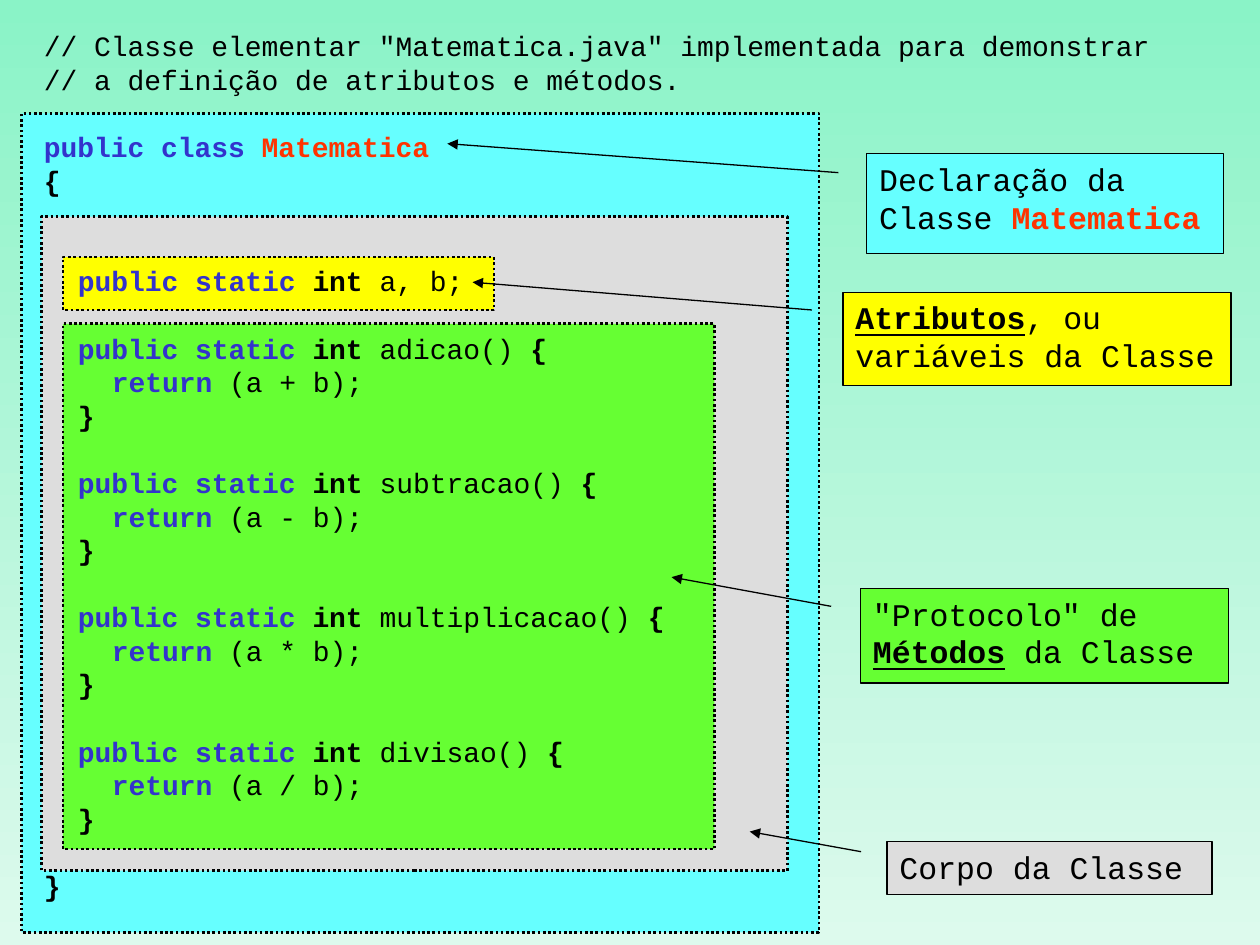
"""Build a slide that labels the parts of a small Java class."""
from dataclasses import dataclass

from lxml import etree
from pptx import Presentation
from pptx.dml.color import RGBColor
from pptx.enum.dml import MSO_LINE
from pptx.enum.shapes import MSO_SHAPE
from pptx.enum.text import MSO_ANCHOR, MSO_AUTO_SIZE, PP_ALIGN
from pptx.oxml.ns import qn
from pptx.util import Inches, Pt

RECT = MSO_SHAPE.RECTANGLE
CALLOUT = MSO_SHAPE.LINE_CALLOUT_1
DOTS = MSO_LINE.ROUND_DOT
TOP = MSO_ANCHOR.TOP
LEFT = PP_ALIGN.LEFT
GROW = MSO_AUTO_SIZE.SHAPE_TO_FIT_TEXT

FONT = "Courier New"
BLACK, BLUE, RED = "000000", "3333CC", "FF3300"
CYAN, GRAY, GREEN, YELLOW = "66FFFF", "DDDDDD", "66FF33", "FFFF00"
ROW = 19.2
STEP = 0.27


@dataclass
class Word:
    text: str
    color: str = BLACK
    bold: bool = False
    under: bool = False


@dataclass
class Line:
    words: list[Word]
    level: int = 0
    gap: int = 0


@dataclass
class Box:
    left: float
    top: float
    width: float
    height: float
    fill: str


@dataclass
class Label:
    box: Box
    tip: tuple[float, float]
    words: list[Word]


BOXES = [
    Box(0.17, 0.9, 6.33, 6.5, CYAN),
    Box(0.33, 1.72, 5.92, 5.19, GRAY),
    Box(0.5, 2.57, 5.17, 4.17, GREEN),
    Box(0.5, 2.04, 3.42, 0.42, YELLOW),
]
LABELS = [
    Label(Box(6.88, 1.22, 2.83, 0.79, CYAN), (3.55, 1.14),
          [Word("Declaração da Classe "), Word("Matematica", RED, True)]),
    Label(Box(7.04, 6.68, 2.58, 0.42, GRAY), (5.95, 6.6),
          [Word("Corpo da Classe")]),
    Label(Box(6.83, 4.67, 2.92, 0.75, GREEN), (5.33, 4.58),
          [Word('"Protocolo" de '), Word("Métodos", bold=True, under=True),
           Word(" da Classe")]),
    Label(Box(6.69, 2.32, 3.08, 0.74, YELLOW), (3.75, 2.24),
          [Word("Atributos", bold=True, under=True),
           Word(", ou variáveis da Classe")]),
]
METHODS = [("adicao", "+"), ("subtracao", "-"),
           ("multiplicacao", "*"), ("divisao", "/")]


def rgb(code: str) -> RGBColor:
    """Turn a hex string into a colour."""
    return RGBColor.from_string(code)


def member(rest: str) -> list[Word]:
    """Give the words of a public static int member."""
    return [Word("public static ", BLUE, True), Word("int", bold=True),
            Word(rest)]


def method(name: str, sign: str) -> list[Line]:
    """Give the three lines of one method."""
    return [
        Line(member(f" {name}() ") + [Word("{", bold=True)], 1, 1),
        Line([Word("return", BLUE, True), Word(f" (a {sign} b);")], 2),
        Line([Word("}", bold=True)], 1),
    ]


def code() -> list[Line]:
    """Give all lines of the class."""
    lines = [
        Line([Word('// Classe elementar "Matematica.java" '
                   "implementada para demonstrar")]),
        Line([Word("// a definição de atributos e métodos.")]),
        Line([Word("public class ", BLUE, True),
              Word("Matematica", RED, True)], gap=1),
        Line([Word("{", bold=True)]),
        Line(member(" a, b;"), 1, 2),
    ]
    for name, sign in METHODS:
        lines += method(name, sign)
    return lines + [Line([Word("}", bold=True)], gap=1)]


def write(para, words: list[Word], size: int) -> None:
    """Fill a paragraph with formatted runs."""
    para.alignment = LEFT
    for word in words:
        run = para.add_run()
        run.text = word.text
        font = run.font
        font.name, font.size = FONT, Pt(size)
        font.bold, font.underline = word.bold, word.under
        font.color.rgb = rgb(word.color)


def draw(slide, box: Box, kind: MSO_SHAPE, weight: float):
    """Draw a filled shape with a black outline."""
    shape = slide.shapes.add_shape(
        kind, Inches(box.left), Inches(box.top),
        Inches(box.width), Inches(box.height))
    shape.shadow.inherit = False
    shape.fill.solid()
    shape.fill.fore_color.rgb = rgb(box.fill)
    shape.line.color.rgb = rgb(BLACK)
    shape.line.width = Pt(weight)
    return shape


def draw_label(slide, label: Label) -> None:
    """Draw a callout whose arrow ends at the tip."""
    box = label.box
    shape = draw(slide, box, CALLOUT, 0.75)
    x, y = label.tip
    spots = (0.19, -0.08, (y - box.top) / box.height,
             (x - box.left) / box.width)
    for i, spot in enumerate(spots):
        shape.adjustments[i] = spot
    line = shape.element.spPr.find(qn("a:ln"))
    etree.SubElement(line, qn("a:tailEnd"), type="triangle")
    frame = shape.text_frame
    frame.word_wrap = True
    frame.vertical_anchor = TOP
    write(frame.paragraphs[0], label.words, 18)


def draw_code(slide) -> None:
    """Write the class over its boxes."""
    text = slide.shapes.add_textbox(
        Inches(0.25), Inches(0.18), Inches(9.53), Inches(7.03))
    frame = text.text_frame
    frame.word_wrap = True
    frame.auto_size = GROW
    for i, line in enumerate(code()):
        para = frame.add_paragraph() if i else frame.paragraphs[0]
        para.space_before = Pt(line.gap * ROW)
        props = para._p.get_or_add_pPr()
        props.set("marL", str(Inches(line.level * STEP)))
        props.set("indent", "0")
        write(para, line.words, 16)


def main() -> None:
    """Build and save the slide."""
    deck = Presentation()
    deck.slide_width, deck.slide_height = Inches(10), Inches(7.5)
    slide = deck.slides.add_slide(deck.slide_layouts[6])
    fill = slide.background.fill
    fill.gradient()
    fill.gradient_angle = 270
    for stop, shade in zip(fill.gradient_stops, ("8AF3C7", "DDFAED")):
        stop.color.rgb = rgb(shade)
    for box in BOXES:
        draw(slide, box, RECT, 1.5).line.dash_style = DOTS
    for label in LABELS:
        draw_label(slide, label)
    draw_code(slide)
    deck.save("out.pptx")


if __name__ == "__main__":
    main()
